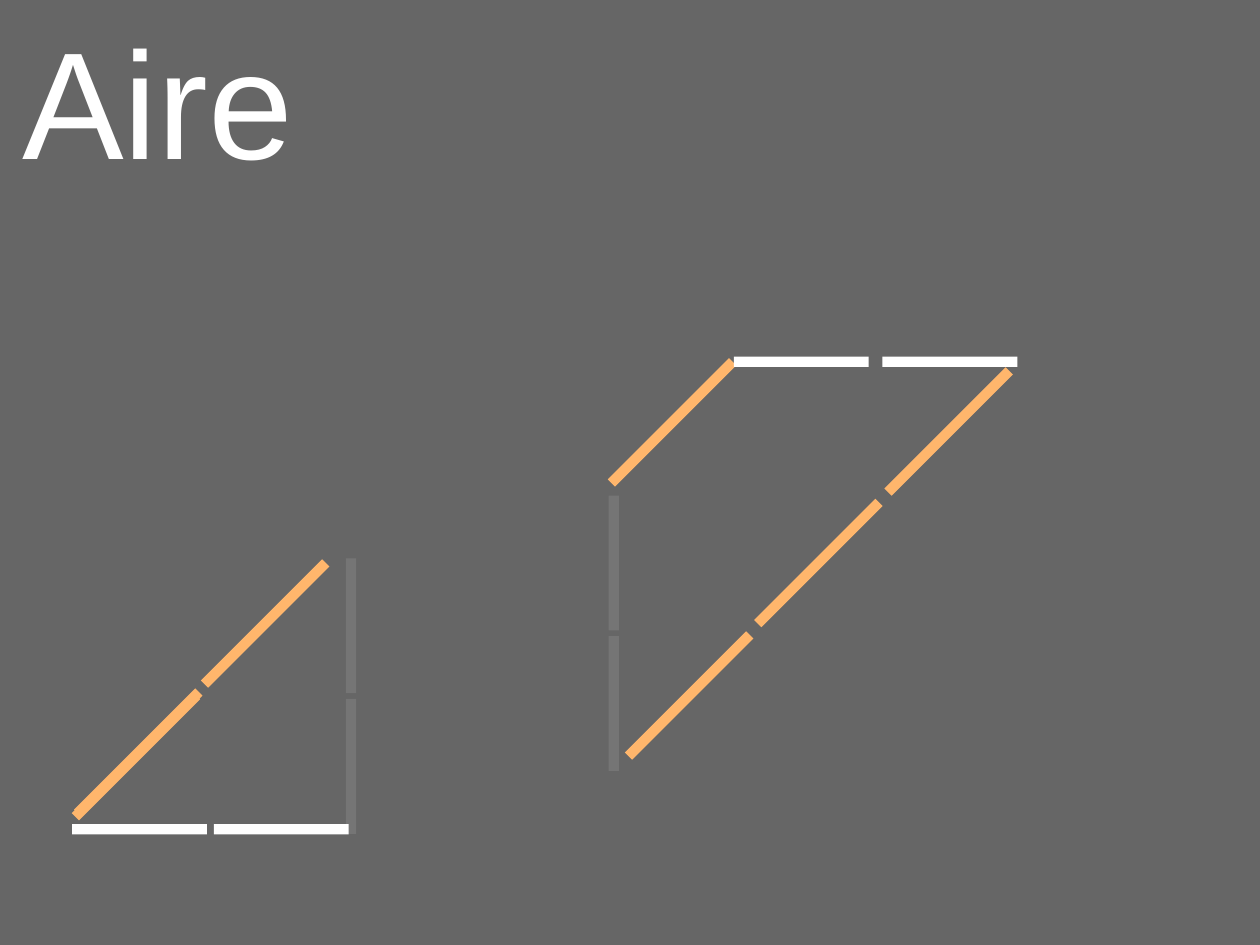
import pptx
import pptx.util
import pptx.dml.color
import pptx.enum.shapes
import pptx.enum.text
import pptx.oxml.ns
import lxml.etree

# Slide of 28 by 21 cm, in inches
W, H = 28 / 2.54, 21 / 2.54
THICK = 0.09


def rgb(value):
    return pptx.dml.color.RGBColor.from_string(value)


def add_bar(s, x, y, w, h, color, rotation=0, alpha=100):
    sp = s.shapes.add_shape(
        pptx.enum.shapes.MSO_SHAPE.RECTANGLE,
        *(pptx.util.Inches(v) for v in (x, y, w, h)))
    sp.shadow.inherit = False
    sp.line.fill.background()
    sp.fill.solid()
    sp.fill.fore_color.rgb = rgb(color)
    sp.rotation = rotation
    if alpha < 100:
        clr = sp.element.spPr.find(".//" + pptx.oxml.ns.qn("a:srgbClr"))
        lxml.etree.SubElement(
            clr, pptx.oxml.ns.qn("a:alpha"), val=str(alpha * 1000))
    return sp


prs = pptx.Presentation()
prs.slide_width = pptx.util.Cm(28)
prs.slide_height = pptx.util.Cm(21)
s = prs.slides.add_slide(prs.slide_layouts[5])

# Grey backdrop, placed behind the title
backdrop = add_bar(s, 0, 0, W, H, "666666")
title = s.shapes.title
backdrop.element.addnext(title.element)

# Title
box = {"left": 0.16, "top": 0, "width": 2.44, "height": 1.73}
for name, value in box.items():
    setattr(title, name, pptx.util.Inches(value))
tf = title.text_frame
frame = {"margin_left": 0, "margin_top": 0, "margin_right": 0,
         "margin_bottom": 0, "word_wrap": True,
         "vertical_anchor": pptx.enum.text.MSO_ANCHOR.MIDDLE,
         "auto_size": pptx.enum.text.MSO_AUTO_SIZE.SHAPE_TO_FIT_TEXT}
for name, value in frame.items():
    setattr(tf, name, value)
p = tf.paragraphs[0]
p.alignment = pptx.enum.text.PP_ALIGN.CENTER
r = p.add_run()
r.text = "Aire"
for name, value in {"size": pptx.util.Pt(96), "name": "Arial"}.items():
    setattr(r.font, name, value)
r.font.color.rgb = rgb("FFFFFF")

# Kinds of stick: length, rotation, colour, opacity in percent
sticks = {
    "slanted": (1.5, 315, "FFB66C", 100),
    "upright": (1.18, 270, "FFFFFF", 10),
    "level": (1.18, 180, "FFFFFF", 100),
}

# Left and top of each stick before rotation, by figure and kind
figures = {
    "quadrilateral": {
        "slanted": [(5.28, 6.04), (5.13, 3.65), (6.41, 4.88), (7.55, 3.73)],
        "upright": [(4.78, 6.11), (4.78, 4.88)],
        "level": [(6.42, 3.12), (7.72, 3.12)],
    },
    "triangle": {
        "slanted": [(0.44, 6.57), (1.57, 5.41), (0.46, 6.54)],
        "level": [(1.87, 7.21), (0.63, 7.21)],
        "upright": [(2.48, 6.66), (2.48, 5.43)],
    },
}
for figure, sides in figures.items():
    for kind, places in sides.items():
        length, rotation, color, alpha = sticks[kind]
        for i, (x, y) in enumerate(places, 1):
            sp = add_bar(s, x, y, length, THICK, color, rotation, alpha)
            sp.name = f"{figure} {kind} {i}"

prs.save("out.pptx")
